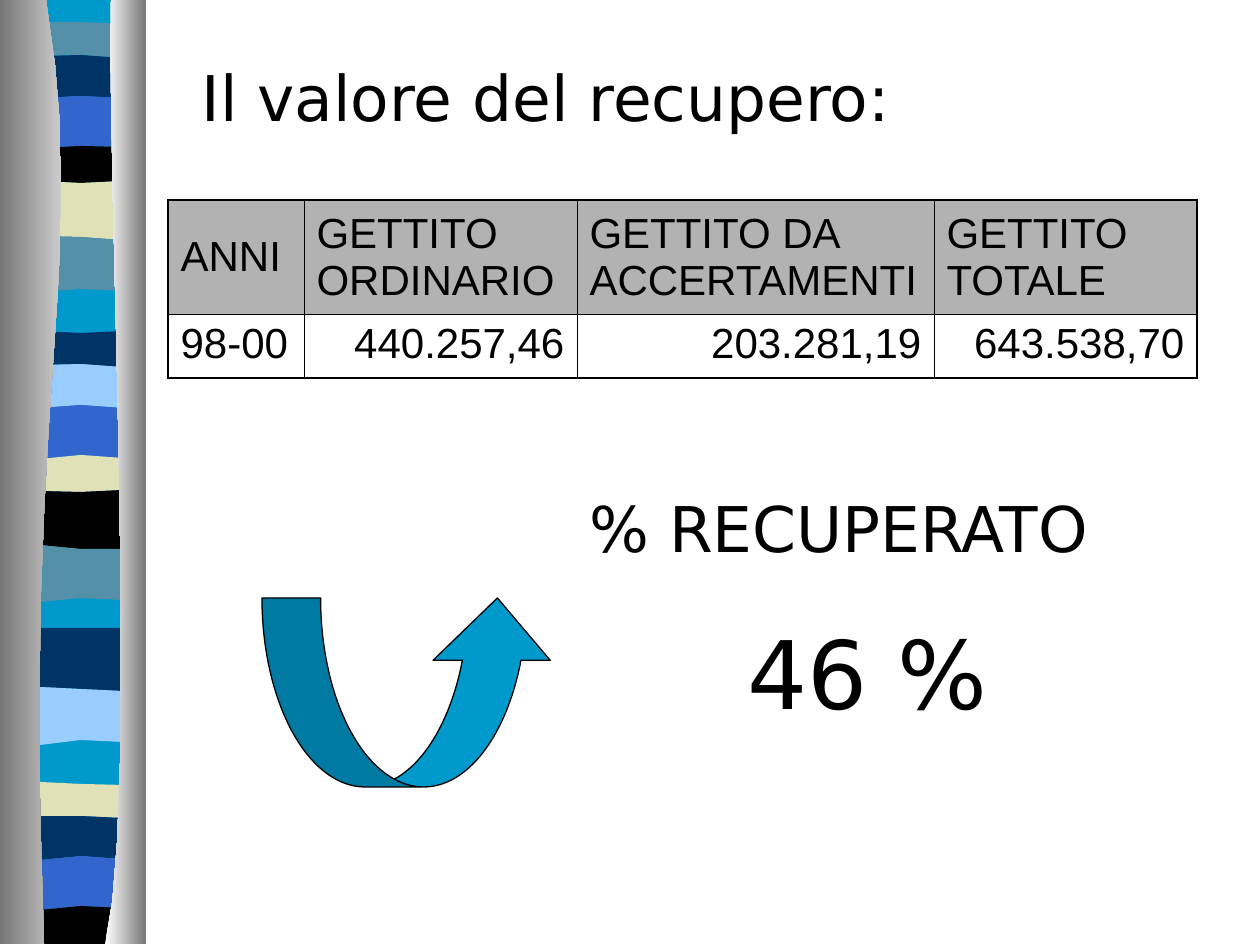
"""Build a slide on the value of tax recovery, with a striped ribbon, a table and an arrow."""
import pptx
import pptx.dml.color
import pptx.enum.shapes
import pptx.enum.text
import pptx.oxml
import pptx.oxml.ns
import pptx.util

COLOURS = {
    "ink": "000000", "cyan": "0099CC", "steel": "5490A8", "navy": "003366",
    "blue": "3366CC", "cream": "E1E1B7", "sky": "99CCFF", "header": "B2B2B2",
    "shade": "767676", "silver": "CCCCCC", "white": "FFFFFF",
}
WIDTH, HEIGHT = 1260, 945
RIBBON_LEFT, RIBBON_RIGHT = 40, 122
BASE = "cyan"
BANDS = [
    ("cyan", 0, 0, 0), ("steel", 22, 22, 24), ("navy", 56, 55, 58),
    ("blue", 98, 96, 98), ("ink", 148, 146, 147), ("cream", 181, 183, 181),
    ("steel", 236, 237, 240), ("cyan", 292, 289, 291), ("navy", 331, 333, 331),
    ("sky", 365, 364, 367), ("blue", 408, 405, 408), ("cream", 459, 455, 458),
    ("ink", 491, 492, 490), ("steel", 545, 549, 549), ("cyan", 602, 598, 600),
    ("navy", 628, 628, 628), ("sky", 687, 689, 691), ("cyan", 745, 740, 742),
    ("cream", 782, 784, 785), ("navy", 816, 816, 818), ("blue", 860, 856, 859),
    ("ink", 910, 906, 908), (None, 944, 944, 944),
]
LEFT_EDGE = [(46, 0), (91, 272), (21, 373), (44, 944)]
RIGHT_EDGE = [(111, 0), (106, 158), (140, 814), (105, 944)]
HEADINGS = ["ANNI", "GETTITO ORDINARIO", "GETTITO DA ACCERTAMENTI", "GETTITO TOTALE"]
VALUES = ["98-00", "440.257,46", "203.281,19", "643.538,70"]
COLUMN_WIDTHS = [136, 273, 357, 263]
ROW_HEIGHTS = [114, 64]
THIN, THICK = 0.45, 1.08
ALIGN = pptx.enum.text.PP_ALIGN
ANCHOR = pptx.enum.text.MSO_ANCHOR


def px(length):
    """Turn a length in px into EMU."""
    return pptx.util.Emu(round(length * 914400 / 126))


def rgb(name):
    """Return the named colour."""
    return pptx.dml.color.RGBColor.from_string(COLOURS[name])


def apply(target, values):
    """Set every attribute of a dict of format values."""
    for name, value in values.items():
        setattr(target, name, value)


def write(frame, text, size, font, before, align=ALIGN.LEFT):
    """Write one formatted paragraph into a text frame."""
    para = frame.paragraphs[0]
    apply(para, {"alignment": align, "space_before": pptx.util.Pt(before)})
    span = para.add_run()
    span.text = text
    apply(span.font, {"size": pptx.util.Pt(size), "name": font})
    span.font.color.rgb = rgb("ink")


def add_caption(box, bounds, text, size, before):
    """Place a box and fill it with one line of text."""
    apply(box, dict(zip(("left", "top", "width", "height"), map(px, bounds))))
    apply(box.text_frame, {
        "word_wrap": True,
        "vertical_anchor": ANCHOR.TOP,
        "auto_size": pptx.enum.text.MSO_AUTO_SIZE.SHAPE_TO_FIT_TEXT,
    })
    write(box.text_frame, text, size, "DejaVu Sans", before)


def curve(points, steps=12):
    """Sample a cubic curve given by its four control points."""
    def at(t, axis):
        a, b, c, d = (point[axis] for point in points)
        u = 1 - t
        return u**3 * a + 3 * u * u * t * b + 3 * u * t * t * c + t**3 * d
    return [(at(i / steps, 0), at(i / steps, 1)) for i in range(steps + 1)]


def wave(left, middle, right):
    """Return the wavy edge of a band from its three heights."""
    centre = (RIBBON_LEFT + RIBBON_RIGHT) / 2
    return [(RIBBON_LEFT, left), (centre, middle), (RIBBON_RIGHT, right)]


def add_outline(page, points):
    """Add a closed shape without line or shadow."""
    start, *rest = [(px(x), px(y)) for x, y in points]
    builder = page.shapes.build_freeform(*start)
    builder.add_line_segments(rest, close=True)
    shape = builder.convert_to_shape()
    shape.shadow.inherit = False
    shape.line.fill.background()
    return shape


def add_band(page, band, following):
    """Add one band of the ribbon, down to the top of the following one."""
    shape = add_outline(page, wave(*band[1:]) + wave(*following[1:])[::-1])
    shape.fill.solid()
    shape.fill.fore_color.rgb = rgb(band[0])


def add_ribbon(page):
    """Add the base of the ribbon and the bands that differ from it."""
    add_band(page, BANDS[0], BANDS[-1])
    for band, following in zip(BANDS, BANDS[1:]):
        if band[0] != BASE:
            add_band(page, band, following)


def add_panel(page, edge, outer, colours):
    """Add a metallic panel between a curved edge and a straight side."""
    shape = add_outline(page, curve(edge) + [(outer, HEIGHT - 1), (outer, 0)])
    shape.fill.gradient()
    shape.fill.gradient_angle = 0
    for stop, name in zip(shape.fill.gradient_stops, colours):
        stop.color.rgb = rgb(name)


def set_borders(cell, weights):
    """Draw the left, right, top and bottom borders of a cell."""
    properties = cell._tc.get_or_add_tcPr()
    for position, (side, weight) in enumerate(zip("LRTB", weights)):
        properties.insert(position, pptx.oxml.parse_xml(
            f'<a:ln{side} {pptx.oxml.ns.nsdecls("a")} w="{pptx.util.Pt(weight)}">'
            f'<a:solidFill><a:srgbClr val="{COLOURS["ink"]}"/></a:solidFill></a:ln{side}>'))


def add_revenue_table(page):
    """Add the table of revenues with its grey heading row."""
    table = page.shapes.add_table(
        2, 4, px(168), px(200), px(sum(COLUMN_WIDTHS)), px(sum(ROW_HEIGHTS))).table
    apply(table, {"first_row": False, "horz_banding": False})
    for column, width in zip(table.columns, COLUMN_WIDTHS):
        column.width = px(width)
    for row, height in zip(table.rows, ROW_HEIGHTS):
        row.height = px(height)
    for r, texts in enumerate((HEADINGS, VALUES)):
        for c, text in enumerate(texts):
            cell = table.cell(r, c)
            if r == 0:
                cell.fill.solid()
                cell.fill.fore_color.rgb = rgb("header")
                cell.vertical_anchor = ANCHOR.MIDDLE
            else:
                cell.fill.background()
            write(cell.text_frame, text, 24, "Arial", 6,
                  ALIGN.RIGHT if r and c else ALIGN.LEFT)
            outer = (c == 0, c == 3, r == 0, r == 1)
            set_borders(cell, [THICK if edge else THIN for edge in outer])


def add_arrow(page):
    """Add the curved arrow that points up to the percentage."""
    arrow = page.shapes.add_shape(
        pptx.enum.shapes.MSO_SHAPE.CURVED_UP_ARROW, px(262), px(598), px(294), px(189))
    for index, value in enumerate((0.31, 0.62, 0.33)):
        arrow.adjustments[index] = value
    arrow.shadow.inherit = False
    arrow.fill.solid()
    arrow.fill.fore_color.rgb = rgb("cyan")
    arrow.line.color.rgb = rgb("ink")
    arrow.line.width = pptx.util.Pt(0.75)


def main():
    """Build the slide and save it."""
    deck = pptx.Presentation()
    apply(deck, {"slide_width": px(WIDTH), "slide_height": px(HEIGHT)})
    page = deck.slides.add_slide(deck.slide_layouts[5])
    add_ribbon(page)
    add_panel(page, LEFT_EDGE, 0, ("shade", "silver"))
    add_panel(page, RIGHT_EDGE, 146, ("white", "shade"))
    add_caption(page.shapes.title, (189, 52, 1008, 88), "Il valore del recupero:", 36, 22.5)
    add_revenue_table(page)
    add_arrow(page)
    for bounds, text, size, before in (
            ((577, 483, 599, 88), "% RECUPERATO", 36, 22.5),
            ((735, 609, 284, 126), "46 %", 54, 33.8)):
        add_caption(page.shapes.add_textbox(0, 0, 0, 0), bounds, text, size, before)
    deck.save("out.pptx")


if __name__ == "__main__":
    main()
